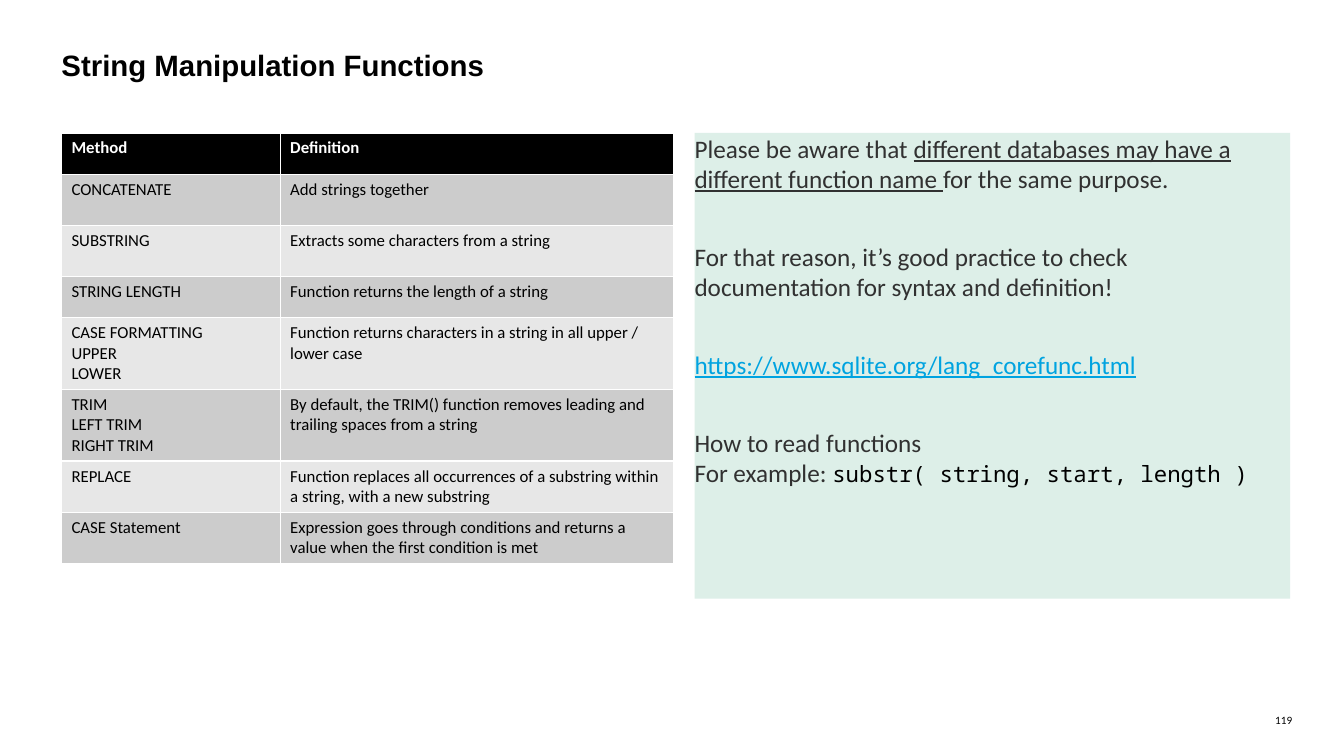
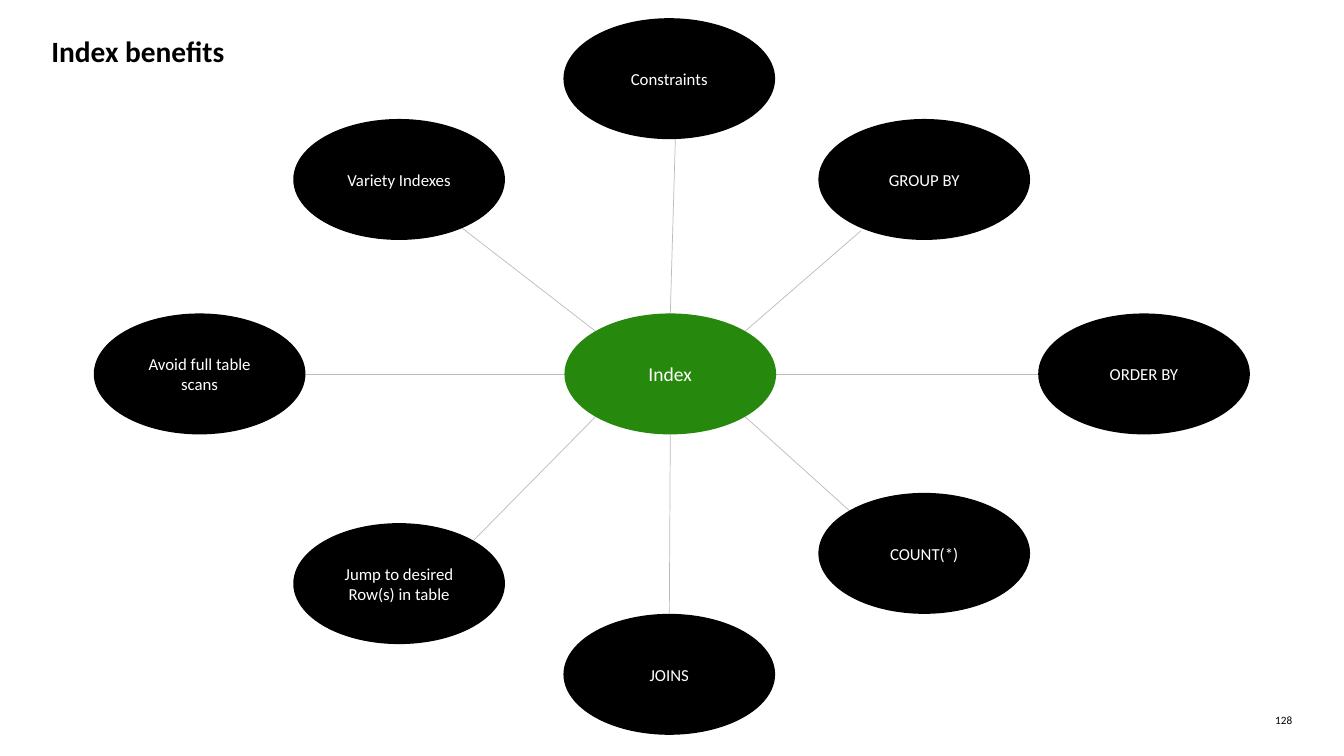
from math import cos, radians, sin

from lxml.etree import SubElement
from pptx import Presentation
from pptx.dml.color import RGBColor as RGB
from pptx.enum.shapes import MSO_CONNECTOR as LINK, MSO_SHAPE as SHAPE
from pptx.enum.text import MSO_ANCHOR as ANCHOR, MSO_AUTO_SIZE as AUTO, PP_ALIGN as ALIGN
from pptx.oxml.ns import qn
from pptx.util import Pt

HUES = {
    "black": "000000", "white": "FFFFFF", "dark": "CCCCCC", "light": "E7E7E7",
    "mint": "DDEFE8", "text": "313131", "link": "00A3E0", "green": "26890D",
    "line": "BBBCBC",
}
WIDE, HIGH = 151.2, 86.4


def style(font, size, hue, bold=False, face="Calibri"):
    font.name, font.size, font.bold = face, Pt(size), bold
    font.color.rgb = RGB.from_string(HUES[hue])


def block(slide, kind, box, hue, inset):
    shape = slide.shapes.add_shape(kind, *map(Pt, box))
    shape.shadow.inherit = False
    shape.fill.solid()
    shape.fill.fore_color.rgb = RGB.from_string(HUES[hue])
    shape.line.fill.background()
    frame = shape.text_frame
    frame.word_wrap = True
    frame.margin_left = frame.margin_right = Pt(inset)
    frame.margin_top = frame.margin_bottom = Pt(inset)
    return frame


deck = Presentation()
deck.slide_width, deck.slide_height = Pt(960), Pt(540)

pages = []
for head, face, box, num in [
    ("String Manipulation Functions", "Arial", (43.9, 33.8, 648.7, 36), "119"),
    ("Index benefits", "Calibri", (36.7, 23.8, 882, 27.4), "128"),
]:
    page = deck.slides.add_slide(deck.slide_layouts[5])
    title = page.shapes.title
    title.left, title.top, title.width, title.height = map(Pt, box)
    foot = page.shapes.add_textbox(Pt(898.6), Pt(509.8), Pt(24.5), Pt(9.4))
    for shape, words, size, bold, font, side in [
        (title, head, 21, True, face, ALIGN.LEFT),
        (foot, num, 8, False, "Calibri", ALIGN.RIGHT),
    ]:
        frame = shape.text_frame
        frame.word_wrap = True
        frame.auto_size = AUTO.NONE
        frame.vertical_anchor = ANCHOR.TOP
        frame.margin_left = frame.margin_right = 0
        frame.margin_top = frame.margin_bottom = 0
        frame.text = words
        para = frame.paragraphs[0]
        para.alignment = side
        style(para.font, size, "black", bold, font)
    pages.append(page)

page = pages[0]
rows = [
    ("Method", "Definition", 29.5),
    ("CONCATENATE", "Add strings together", 36.5),
    ("SUBSTRING", "Extracts some characters from a string", 36.5),
    ("STRING LENGTH", "Function returns the length of a string", 29.5),
    ("CASE FORMATTING\nUPPER\nLOWER",
     "Function returns characters in a string in all upper / lower case", 51.2),
    ("TRIM\nLEFT TRIM\nRIGHT TRIM",
     "By default, the TRIM() function removes leading and trailing spaces from a string", 51.2),
    ("REPLACE",
     "Function replaces all occurrences of a substring within a string, with a new substring", 36.5),
    ("CASE Statement",
     "Expression goes through conditions and returns a value when the first condition is met", 36.5),
]
tall = sum(row[2] for row in rows)
grid = page.shapes.add_table(len(rows), 2, Pt(43.9), Pt(95), Pt(437), Pt(tall)).table
grid.columns[0].width, grid.columns[1].width = Pt(156.2), Pt(280.8)
for r, (*words, size) in enumerate(rows):
    grid.rows[r].height = Pt(size)
    hue = "black" if r == 0 else "dark" if r % 2 else "light"
    for cell, text in zip(grid.rows[r].cells, words):
        cell.fill.solid()
        cell.fill.fore_color.rgb = RGB.from_string(HUES[hue])
        cell.text = text
        for para in cell.text_frame.paragraphs:
            style(para.font, 12, "black" if r else "white", r == 0)

frame = block(page, SHAPE.RECTANGLE, (496.1, 95, 425.5, 332.6), "mint", 0)
frame.vertical_anchor = ANCHOR.TOP
notes = [
    [("Please be aware that ", "text", False),
     ("different databases may have a different function name ", "text", True),
     ("for the same purpose.", "text", False)],
    [("For that reason, it’s good practice to check documentation for syntax and definition!",
      "text", False)],
    [("https://www.sqlite.org/lang_corefunc.html", "link", True)],
    [("How to read functions\vFor example: ", "text", False)],
]
for i, runs in enumerate(notes):
    para = frame.add_paragraph() if i else frame.paragraphs[0]
    para.alignment = ALIGN.LEFT
    para.space_before = Pt(34 if i else 0)
    for j, (text, hue, under) in enumerate(runs):
        for k, part in enumerate(text.split("\v")):
            if k:
                para.add_line_break()
            run = para.add_run()
            run.text = part
            style(run.font, 18, hue)
            run.font.underline = under
code = para.add_run()
code.text = "substr( string, start, length )"
style(code.font, 16, "black", face="Noto Sans Mono")

page = pages[1]
hub = (478.8, 267.1)
nodes = [
    ("ORDER BY", 741.6, 223.9, 741.6, 267.1),
    ("COUNT(*)", 584.6, 352.1, 607, 365),
    ("JOINS", 402.5, 438.5, 478.1, 438.5),
    ("Jump to desired Row(s) in table", 209.5, 373.7, 338.4, 385.9),
    ("Avoid full table scans", 67, 223.9, 218.2, 267.1),
    ("Variety Indexes", 209.5, 85, 329.8, 162.7),
    ("Constraints", 402.5, 13, 482.4, 99.4),
    ("GROUP BY", 584.6, 85, 614.9, 164.9),
]
for i, (text, left, top, x, y) in enumerate(nodes):
    turn = radians(360 / len(nodes) * i)
    start = hub[0] + WIDE / 2 * cos(turn), hub[1] + HIGH / 2 * sin(turn)
    spoke = page.shapes.add_connector(LINK.STRAIGHT, *map(Pt, (*start, x, y)))
    spoke.line.color.rgb = RGB.from_string(HUES["line"])
    spoke.line.width = Pt(0.5)
    SubElement(spoke._element.spPr, qn("a:effectLst"))

ovals = [(text, left, top, "black", 12) for text, left, top, x, y in nodes]
ovals.append(("Index", hub[0] - WIDE / 2, hub[1] - HIGH / 2, "green", 14))
for text, left, top, hue, size in ovals:
    frame = block(page, SHAPE.OVAL, (left, top, WIDE, HIGH), hue, 7.2)
    frame.vertical_anchor = ANCHOR.MIDDLE
    frame.text = text
    para = frame.paragraphs[0]
    para.alignment = ALIGN.CENTER
    style(para.font, size, "white")

deck.save("out.pptx")
